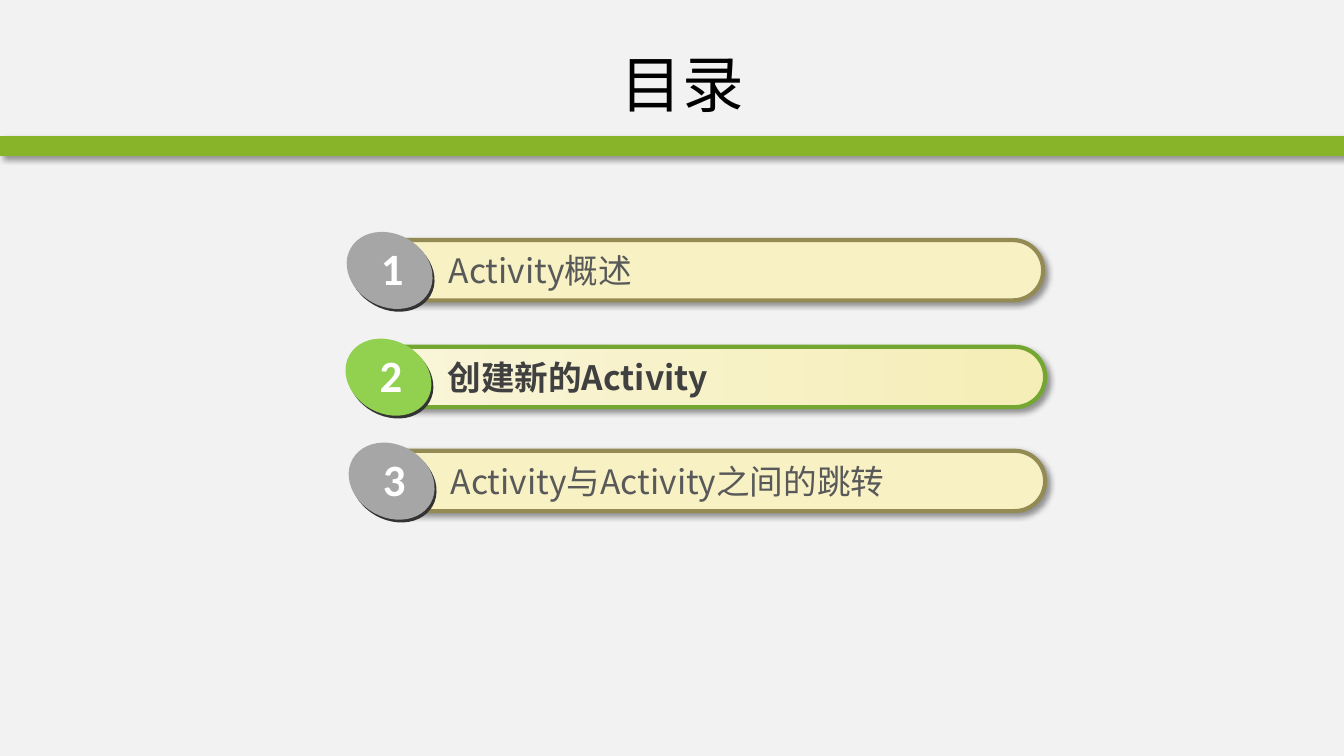
from dataclasses import dataclass

from lxml import etree
from pptx import Presentation
from pptx.dml.color import RGBColor
from pptx.enum.shapes import MSO_SHAPE as Geo
from pptx.enum.text import MSO_ANCHOR, PP_ALIGN
from pptx.oxml.ns import qn
from pptx.shapes.autoshape import Shape
from pptx.util import Cm, Pt

BACKGROUND = RGBColor(0xF2, 0xF2, 0xF2)
BAND = RGBColor(0x88, 0xB4, 0x29)
CREAM = RGBColor(0xF7, 0xF1, 0xC4)
CREAM_LIGHT = RGBColor(0xF9, 0xF5, 0xD9)
CREAM_DARK = RGBColor(0xF5, 0xEE, 0xB7)
OLIVE = RGBColor(0x94, 0x8A, 0x54)
GREEN = RGBColor(0x74, 0xA7, 0x31)
LIME = RGBColor(0x92, 0xD0, 0x50)
GRAY = RGBColor(0xA6, 0xA6, 0xA6)
DARK = RGBColor(0x33, 0x33, 0x33)
TEXT = RGBColor(0x59, 0x59, 0x59)
TEXT_ACTIVE = RGBColor(0x40, 0x40, 0x40)
WHITE = RGBColor(0xFF, 0xFF, 0xFF)
BLACK = RGBColor(0, 0, 0)
CJK = "Noto Sans CJK SC"
LATIN = "Calibri"


@dataclass
class Entry:
    number: str
    label: str
    left: float
    top: float
    width: float = 17.04
    active: bool = False


ENTRIES = [
    Entry("1", "Activity概述", 9.25, 6.05),
    Entry("2", "创建新的Activity", 9.22, 8.74, 17.12, active=True),
    Entry("3", "Activity与Activity之间的跳转", 9.3, 11.36),
]


def add_plain(shapes, geo: Geo, left: float, top: float, width: float,
              height: float, color: RGBColor) -> Shape:
    """Add a solid shape with neither outline nor shadow."""
    sp = shapes.add_shape(geo, Cm(left), Cm(top), Cm(width), Cm(height))
    sp.shadow.inherit = False
    sp.fill.solid()
    sp.fill.fore_color.rgb = color
    sp.line.fill.background()
    return sp


def drop_shadow(sp: Shape) -> None:
    effects = sp._element.spPr.find(qn("a:effectLst"))
    shadow = etree.SubElement(
        effects, qn("a:outerShdw"), blurRad=str(Pt(4)), dist=str(Pt(3)),
        dir="2700000", algn="tl", rotWithShape="0")
    black = etree.SubElement(shadow, qn("a:srgbClr"), val="000000")
    etree.SubElement(black, qn("a:alpha"), val="40000")


def add_text(shapes, text: str, left: float, top: float, width: float,
             height: float, size: int, font: str, color: RGBColor,
             bold: bool = False, wrap: bool = True) -> Shape:
    sp = shapes.add_textbox(Cm(left), Cm(top), Cm(width), Cm(height))
    tf = sp.text_frame
    tf.word_wrap = wrap
    r = tf.paragraphs[0].add_run()
    r.text = text
    r.font.size = Pt(size)
    r.font.name = font
    r.font.bold = bold
    r.font.color.rgb = color
    etree.SubElement(r.font._element, qn("a:ea"), typeface=font)
    return sp


def add_entry(slide, entry: Entry) -> None:
    shapes = slide.shapes.add_group_shape().shapes
    x, y = entry.left, entry.top

    bar = add_plain(shapes, Geo.ROUNDED_RECTANGLE, x, y, entry.width, 1.52, CREAM)
    bar.adjustments[0] = 0.5
    bar.line.color.rgb = GREEN if entry.active else OLIVE
    bar.line.width = Pt(3)
    drop_shadow(bar)
    if entry.active:
        bar.fill.gradient()
        bar.fill.gradient_angle = 0
        for stop, color in zip(bar.fill.gradient_stops, (CREAM_LIGHT, CREAM_DARK)):
            stop.color.rgb = color

    add_text(shapes, entry.label, x + 1.81, y + 0.13, entry.width - 3.48, 1.28,
             24, CJK, TEXT_ACTIVE if entry.active else TEXT, bold=entry.active)
    badge = LIME if entry.active else GRAY
    for dx, dy, color in ((-0.51, -0.08, DARK), (-0.56, -0.15, badge)):
        oval = add_plain(shapes, Geo.OVAL, x + dx, y + dy, 2.26, 1.83, color)
        oval.rotation = 29.3
    add_text(shapes, entry.number, x + 0.1, y - 0.1, 1.09, 1.63,
             32, LATIN, WHITE, bold=True, wrap=False)


def main() -> None:
    prs = Presentation()
    prs.slide_width, prs.slide_height = Cm(33.87), Cm(19.05)
    s = prs.slides.add_slide(prs.slide_layouts[6])
    s.background.fill.solid()
    s.background.fill.fore_color.rgb = BACKGROUND

    drop_shadow(add_plain(s.shapes, Geo.RECTANGLE, 0, 3.43, 33.87, 0.5, BAND))
    title = add_text(s.shapes, "目录", 3.53, 0.76, 27.33, 2.67, 44, CJK, BLACK)
    title.text_frame.vertical_anchor = MSO_ANCHOR.MIDDLE
    title.text_frame.paragraphs[0].alignment = PP_ALIGN.CENTER

    for entry in ENTRIES:
        add_entry(s, entry)
    prs.save("out.pptx")


if __name__ == "__main__":
    main()
